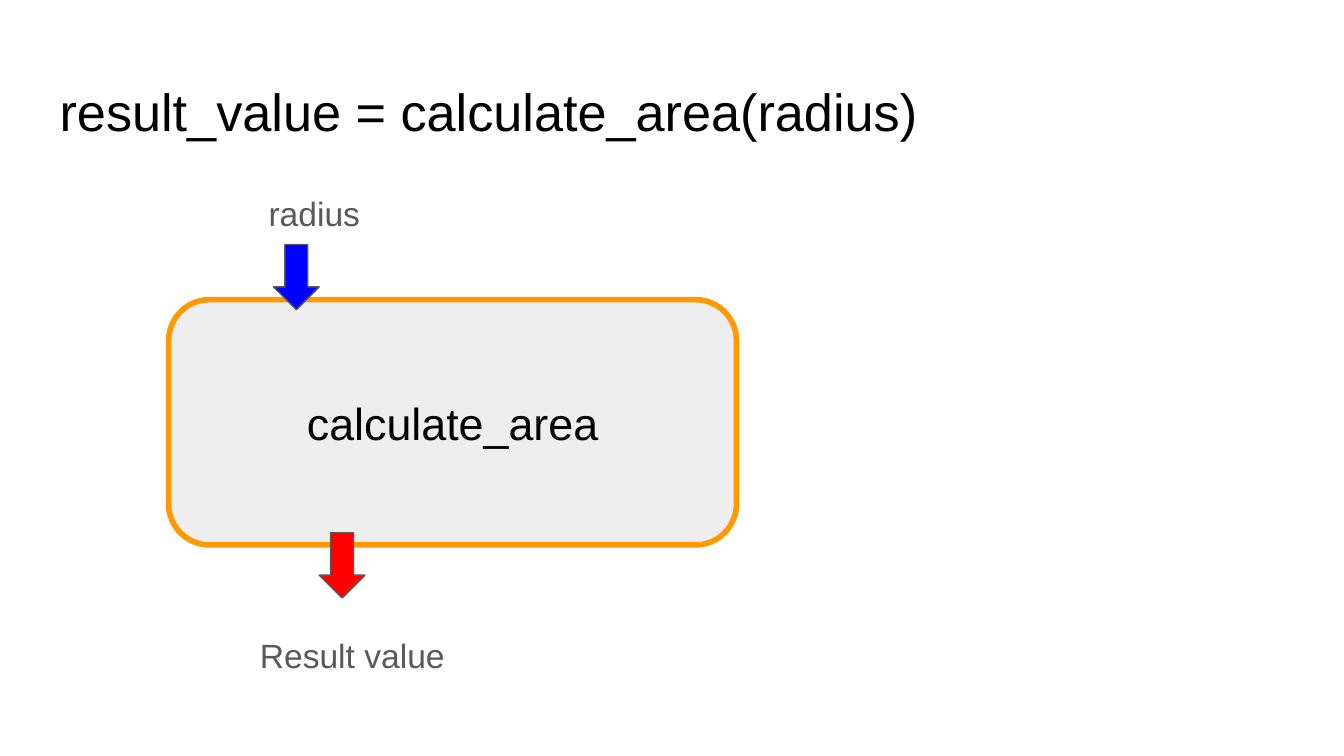
from pptx import Presentation
from pptx.dml.color import RGBColor
from pptx.enum.shapes import MSO_SHAPE
from pptx.enum.text import MSO_ANCHOR, PP_ALIGN
from pptx.util import Pt

PX = 4572  # 200 px to the inch
BLACK = RGBColor(0x00, 0x00, 0x00)
GRAY = RGBColor(0x59, 0x59, 0x59)
LIGHT = RGBColor(0xEE, 0xEE, 0xEE)
ORANGE = RGBColor(0xFF, 0x99, 0x00)
BLUE = RGBColor(0x00, 0x00, 0xFF)
RED = RGBColor(0xFF, 0x00, 0x00)

prs = Presentation()
prs.slide_width, prs.slide_height = 2000 * PX, 1125 * PX
s = prs.slides.add_slide(prs.slide_layouts[6])


def add_shape(kind, box, fill, line, width):
    sp = s.shapes.add_shape(kind, *[v * PX for v in box])
    sp.shadow.inherit = False
    sp.fill.solid()
    sp.fill.fore_color.rgb = fill
    sp.line.color.rgb = line
    sp.line.width = Pt(width)
    return sp


def set_text(sp, text, size, color, para):
    tf = sp.text_frame
    tf.word_wrap = True
    for side in ("left", "top", "right", "bottom"):
        setattr(tf, f"margin_{side}", 20 * PX)
    p = tf.paragraphs[0]
    for name, value in para.items():
        setattr(p, name, value)
    r = p.add_run()
    r.text = text
    for name, value in {"name": "Arial", "size": Pt(size)}.items():
        setattr(r.font, name, value)
    r.font.color.rgb = color


# Function box
sp = add_shape(MSO_SHAPE.FLOWCHART_ALTERNATE_PROCESS, (251, 446, 845, 365), LIGHT, ORANGE, 3)
set_text(sp, "calculate_area", 24, BLACK, {"alignment": PP_ALIGN.CENTER})
sp.text_frame.vertical_anchor = MSO_ANCHOR.MIDDLE

# Input and output arrows
for x, y, color in [(407, 364, BLUE), (475, 793, RED)]:
    add_shape(MSO_SHAPE.DOWN_ARROW, (x, y, 68, 97), color, GRAY, 0.75)

# Title and labels
label = {"line_spacing": 1.15, "space_after": Pt(16)}
for text, box, size, color, para in [
    ("result_value = calculate_area(radius)", (69, 98, 1864, 126), 28, BLACK, {}),
    ("radius", (380, 258, 538, 126), 18, GRAY, label),
    ("Result value", (367, 916, 538, 126), 18, GRAY, label),
]:
    sp = s.shapes.add_textbox(*[v * PX for v in box])
    set_text(sp, text, size, color, para)

prs.save("out.pptx")
